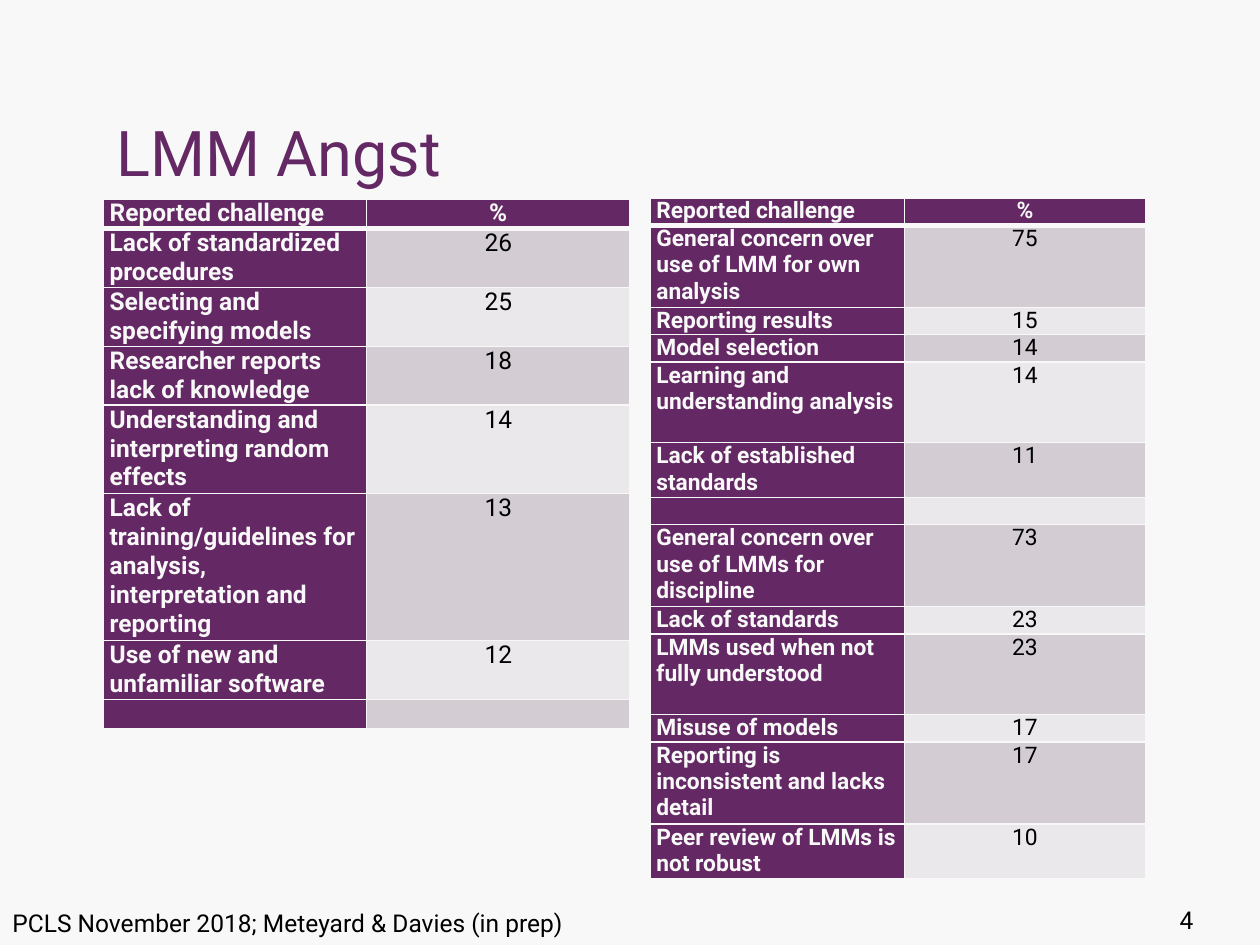
import dataclasses

import pptx
import pptx.dml.color
import pptx.enum.text
import pptx.oxml
import pptx.oxml.ns
import pptx.util
from pptx.util import Inches

ALIGN = pptx.enum.text.PP_ALIGN
ANCHOR = pptx.enum.text.MSO_ANCHOR


@dataclasses.dataclass(frozen=True)
class Theme:
    font: str = "Roboto"
    background: str = "F8F8F8"
    accent: str = "642864"
    text: str = "000000"
    bands: tuple = ("D3CDD3", "EAE8EA")
    title_size: int = 36
    footer_size: int = 14
    left_table_size: int = 14
    right_table_size: int = 13
    border: int = 1
    header_border: int = 3


THEME = Theme()

# Each row: label, percentage, height in text lines
RESEARCHER_CHALLENGES = [
    ("Reported challenge", "%", 1),
    ("Lack of standardized procedures", "26", 2),
    ("Selecting and specifying models", "25", 2),
    ("Researcher reports lack of knowledge", "18", 2),
    ("Understanding and interpreting random effects", "14", 3),
    ("Lack of training/guidelines for analysis, interpretation and reporting", "13", 5),
    ("Use of new and unfamiliar software", "12", 2),
    ("", "", 1),
]
CONCERNS = [
    ("Reported challenge", "%", 1),
    ("General concern over use of LMM for own analysis", "75", 3),
    ("Reporting results", "15", 1),
    ("Model selection", "14", 1),
    ("Learning and understanding analysis", "14", 3),
    ("Lack of established standards", "11", 2),
    ("", "", 1),
    ("General concern over use of LMMs for discipline", "73", 3),
    ("Lack of standards", "23", 1),
    ("LMMs used when not fully understood", "23", 3),
    ("Misuse of models", "17", 1),
    ("Reporting is inconsistent and lacks detail", "17", 3),
    ("Peer review of LMMs is not robust", "10", 2),
]


def rgb(value):
    return pptx.dml.color.RGBColor.from_string(value)


def style_paragraph(paragraph, size, color, bold=False, align=ALIGN.LEFT):
    paragraph.alignment = align
    font = paragraph.font
    font.name, font.size, font.bold = THEME.font, pptx.util.Pt(size), bold
    font.color.rgb = rgb(color)


def add_text(slide, text, box, size, color, align=ALIGN.LEFT, anchor=ANCHOR.TOP):
    shape = slide.shapes.add_textbox(*map(Inches, box))
    frame = shape.text_frame
    frame.word_wrap = True
    frame.vertical_anchor = anchor
    frame.text = text
    style_paragraph(frame.paragraphs[0], size, color, align=align)


def set_borders(cell, top, bottom):
    """Draw the four cell borders; must come before the fill."""
    widths = {"L": THEME.border, "R": THEME.border, "T": top, "B": bottom}
    for side, width in widths.items():
        cell._tc.get_or_add_tcPr().append(pptx.oxml.parse_xml(
            f'<a:ln{side} {pptx.oxml.ns.nsdecls("a")} w="{pptx.util.Pt(width)}">'
            f'<a:solidFill><a:srgbClr val="{THEME.background}"/></a:solidFill>'
            f'</a:ln{side}>'))


def fill_cell(cell, text, row, column, size):
    is_header = row == 0
    is_dark = is_header or column == 0
    set_borders(cell,
                top=THEME.header_border if row == 1 else THEME.border,
                bottom=THEME.header_border if is_header else THEME.border)
    cell.fill.solid()
    cell.fill.fore_color.rgb = rgb(THEME.accent if is_dark else THEME.bands[(row - 1) % 2])
    cell.margin_left = cell.margin_right = Inches(0.05)
    cell.margin_top = cell.margin_bottom = 0
    cell.text = text
    paragraph = cell.text_frame.paragraphs[0]
    style_paragraph(paragraph, size, THEME.background if is_dark else THEME.text,
                    bold=is_dark, align=ALIGN.CENTER if column else ALIGN.LEFT)
    if not text:
        # An empty cell takes its line height from the end-of-paragraph size
        paragraph._p.append(pptx.oxml.parse_xml(
            f'<a:endParaRPr {pptx.oxml.ns.nsdecls("a")} sz="{size * 100}">'
            f'<a:latin typeface="{THEME.font}"/></a:endParaRPr>'))


def add_challenge_table(slide, rows, left, top, column_widths, height, size):
    """Share the table height among the rows by their number of text lines."""
    table = slide.shapes.add_table(
        len(rows), len(column_widths), Inches(left), Inches(top),
        Inches(sum(column_widths)), Inches(height)).table
    for column, width in zip(table.columns, column_widths):
        column.width = Inches(width)
    line_height = height / sum(lines for *_, lines in rows)
    for row, (*texts, lines) in enumerate(rows):
        table.rows[row].height = Inches(lines * line_height)
        for column, text in enumerate(texts):
            fill_cell(table.cell(row, column), text, row, column, size)


def main():
    presentation = pptx.Presentation()
    presentation.slide_width, presentation.slide_height = Inches(10), Inches(7.5)
    slide = presentation.slides.add_slide(presentation.slide_layouts[6])
    slide.background.fill.solid()
    slide.background.fill.fore_color.rgb = rgb(THEME.background)

    add_text(slide, "PCLS November 2018; Meteyard & Davies (in prep)",
             (0, 7.16, 6.93, 0.52), THEME.footer_size, THEME.text)
    add_text(slide, "LMM Angst", (0.83, 0.3, 6.77, 1.25),
             THEME.title_size, THEME.accent, anchor=ANCHOR.BOTTOM)
    add_text(slide, "4", (8.83, 7.13, 0.74, 0.52),
             THEME.footer_size, THEME.text, align=ALIGN.RIGHT)
    add_challenge_table(slide, RESEARCHER_CHALLENGES, 0.82, 1.58, (2.09, 2.09),
                        4.14, THEME.left_table_size)
    add_challenge_table(slide, CONCERNS, 5.16, 1.57, (2.02, 1.91),
                        5.33, THEME.right_table_size)
    presentation.save("out.pptx")


if __name__ == "__main__":
    main()
